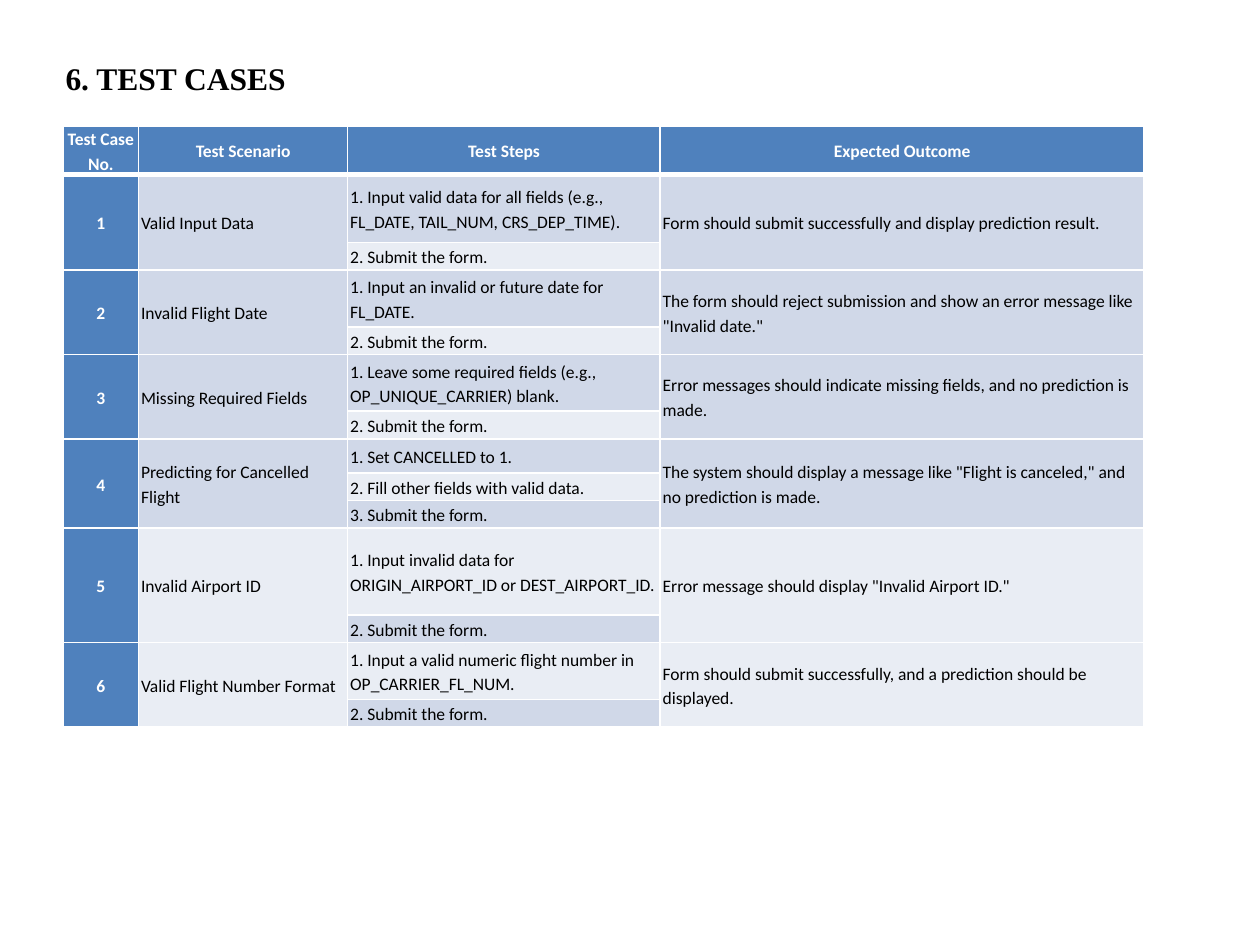
from lxml.etree import SubElement
from pptx import Presentation
from pptx.dml.color import RGBColor
from pptx.enum.text import MSO_ANCHOR, MSO_AUTO_SIZE, PP_ALIGN
from pptx.oxml.ns import qn
from pptx.util import Inches, Pt

BLACK = RGBColor(0x00, 0x00, 0x00)
WHITE = RGBColor(0xFF, 0xFF, 0xFF)
HEADER_BLUE = RGBColor(0x4F, 0x81, 0xBD)
BAND_DARK = RGBColor(0xD0, 0xD8, 0xE8)
BAND_LIGHT = RGBColor(0xE9, 0xED, 0xF4)

HEADINGS = ["Test Case No.", "Test Scenario", "Test Steps", "Expected Outcome"]
COLUMN_WIDTHS = [0.6, 1.66, 2.48, 3.84]
HEADER_HEIGHT = 0.36
STEP_HEIGHT = 0.22
# Scenario, height of the first step, steps, expected outcome
CASES = [
    ("Valid Input Data", 0.54,
     ["1. Input valid data for all fields (e.g., FL_DATE, TAIL_NUM, CRS_DEP_TIME).",
      "2. Submit the form."],
     "Form should submit successfully and display prediction result."),
    ("Invalid Flight Date", 0.45,
     ["1. Input an invalid or future date for FL_DATE.", "2. Submit the form."],
     'The form should reject submission and show an error message like "Invalid date."'),
    ("Missing Required Fields", 0.45,
     ["1. Leave some required fields (e.g., OP_UNIQUE_CARRIER) blank.",
      "2. Submit the form."],
     "Error messages should indicate missing fields, and no prediction is made."),
    ("Predicting for Cancelled Flight", 0.27,
     ["1. Set CANCELLED to 1.", "2. Fill other fields with valid data.",
      "3. Submit the form."],
     'The system should display a message like "Flight is canceled," and no prediction is made.'),
    ("Invalid Airport ID", 0.69,
     ["1. Input invalid data for ORIGIN_AIRPORT_ID or DEST_AIRPORT_ID.",
      "2. Submit the form."],
     'Error message should display "Invalid Airport ID."'),
    ("Valid Flight Number Format", 0.45,
     ["1. Input a valid numeric flight number in OP_CARRIER_FL_NUM.",
      "2. Submit the form."],
     "Form should submit successfully, and a prediction should be displayed."),
]


def style_cell(cell, row, column):
    """Set borders, fill, margins and anchor from the cell's place in the table."""
    properties = cell._tc.get_or_add_tcPr()
    widths = {"L": 1, "R": 1, "T": 3 if row == 1 else 1, "B": 3 if row == 0 else 1}
    for side, width in widths.items():
        border = SubElement(properties, qn(f"a:ln{side}"), w=str(Pt(width)))
        line_fill = SubElement(border, qn("a:solidFill"))
        SubElement(line_fill, qn("a:srgbClr"), val=str(WHITE))
    cell.fill.solid()
    if row == 0 or column == 0:
        cell.fill.fore_color.rgb = HEADER_BLUE
    else:
        cell.fill.fore_color.rgb = BAND_DARK if row % 2 else BAND_LIGHT
    cell.margin_left = cell.margin_right = Inches(0.02)
    cell.margin_top = cell.margin_bottom = 0
    cell.vertical_anchor = MSO_ANCHOR.MIDDLE


def write_cell(cell, text, heading=False):
    paragraph = cell.text_frame.paragraphs[0]
    paragraph.alignment = PP_ALIGN.CENTER if heading else PP_ALIGN.LEFT
    paragraph.line_spacing = 1.15
    paragraph.space_after = Pt(10)
    run = paragraph.add_run()
    run.text = text
    run.font.name = "Calibri"
    run.font.size = Pt(10)
    run.font.bold = heading
    run.font.color.rgb = WHITE if heading else BLACK


prs = Presentation()
prs.slide_width = Inches(10)
prs.slide_height = Inches(7.5)
slide = prs.slides.add_slide(prs.slide_layouts[5])

title = slide.shapes.title
title.left, title.top = Inches(0.42), Inches(0.42)
title.width, title.height = Inches(2.58), Inches(0.4)
title.text_frame.word_wrap = True
title.text_frame.auto_size = MSO_AUTO_SIZE.SHAPE_TO_FIT_TEXT
title_line = title.text_frame.paragraphs[0]
title_line.alignment = PP_ALIGN.LEFT
title_run = title_line.add_run()
title_run.text = "6. TEST CASES"
title_run.font.name = "Times New Roman"
title_run.font.size = Pt(18)
title_run.font.bold = True
title_run.font.color.rgb = BLACK

row_heights = [HEADER_HEIGHT]
for _, first_height, steps, _ in CASES:
    row_heights += [first_height] + [STEP_HEIGHT] * (len(steps) - 1)

test_table = slide.shapes.add_table(
    len(row_heights), len(COLUMN_WIDTHS), Inches(0.5), Inches(1),
    Inches(sum(COLUMN_WIDTHS)), Inches(sum(row_heights))).table
for column, width in zip(test_table.columns, COLUMN_WIDTHS):
    column.width = Inches(width)
for row, height in zip(test_table.rows, row_heights):
    row.height = Inches(height)
for r in range(len(row_heights)):
    for c in range(len(COLUMN_WIDTHS)):
        style_cell(test_table.cell(r, c), r, c)

for c, heading in enumerate(HEADINGS):
    write_cell(test_table.cell(0, c), heading, heading=True)

first_row = 1
for number, (scenario, _, steps, outcome) in enumerate(CASES, start=1):
    last_row = first_row + len(steps) - 1
    for c, text in ((0, str(number)), (1, scenario), (3, outcome)):
        merged = test_table.cell(first_row, c)
        merged.merge(test_table.cell(last_row, c))
        write_cell(merged, text, heading=c == 0)
    for r, step in enumerate(steps, start=first_row):
        write_cell(test_table.cell(r, 2), step)
    first_row = last_row + 1

prs.save("out.pptx")
